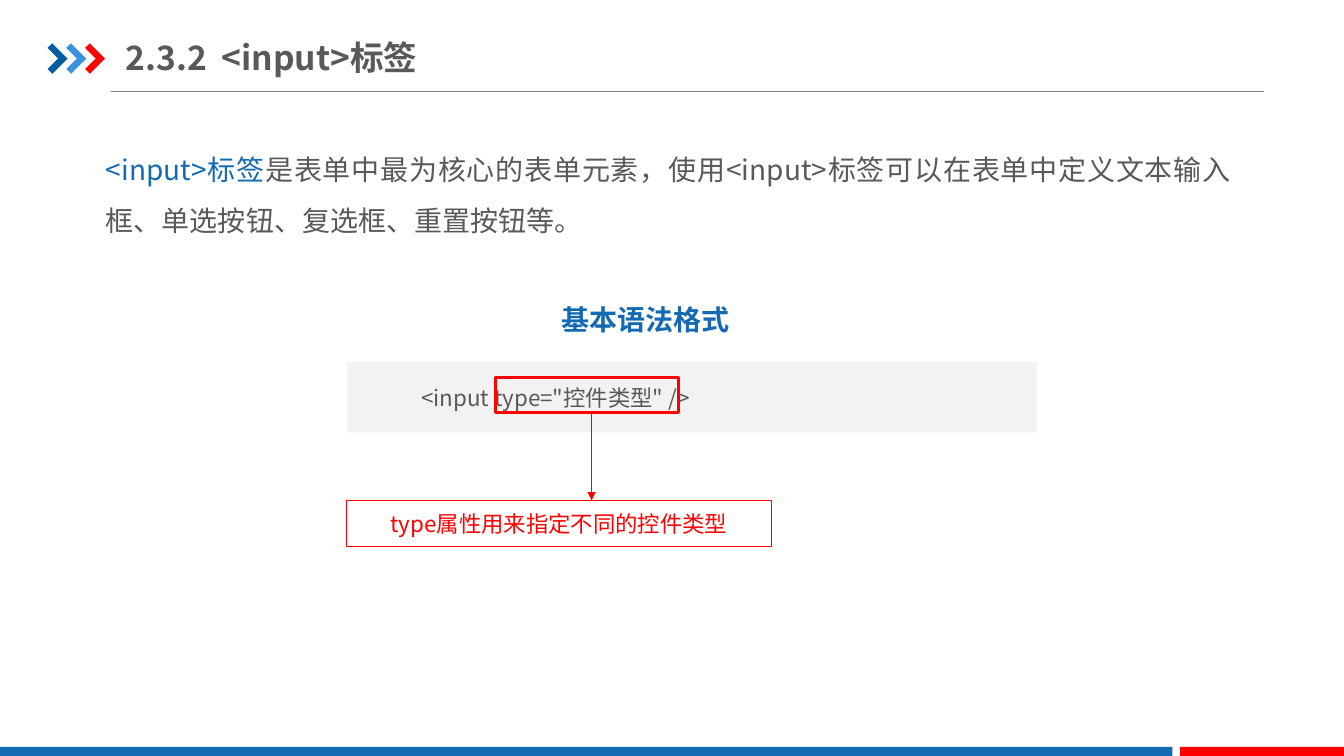
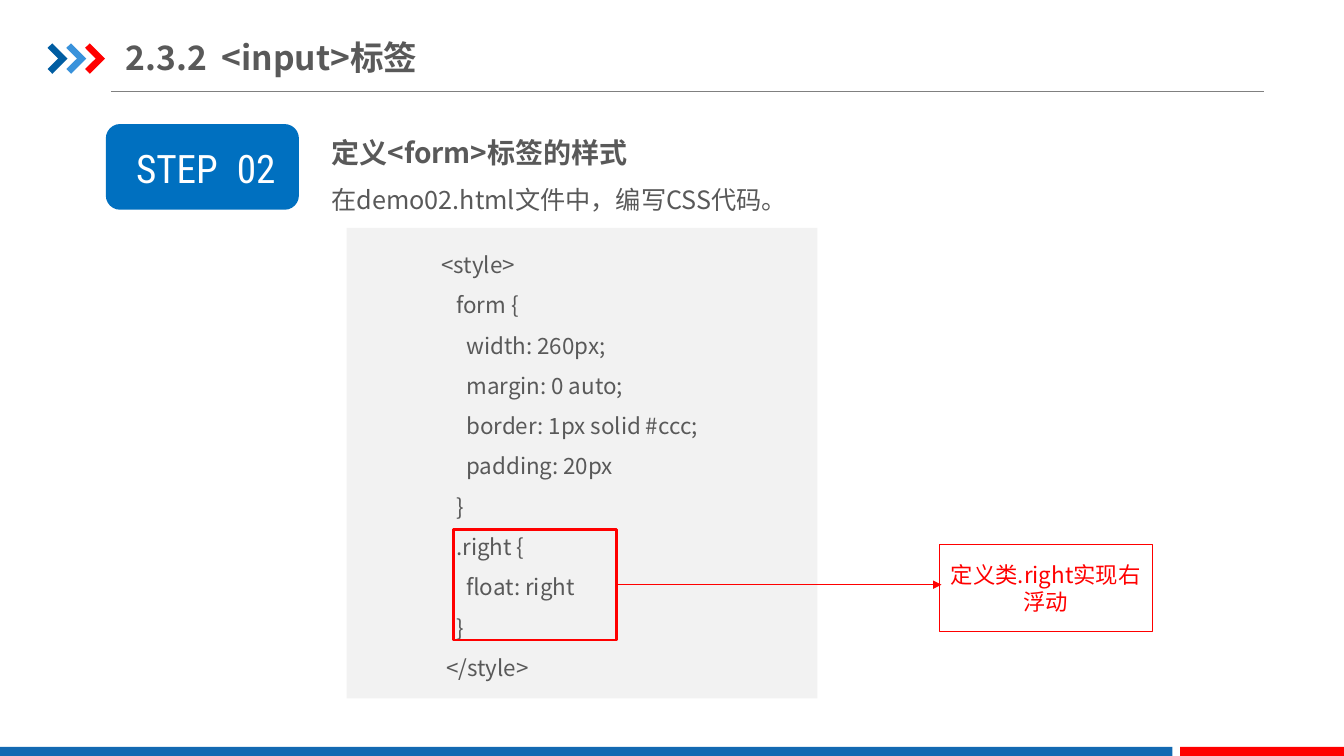
from lxml import etree
from pptx import Presentation
from pptx import util as u
from pptx.dml.color import RGBColor
from pptx.enum import shapes as sh, text as tx
from pptx.oxml import ns

Pt = u.Pt
BLUE = RGBColor(0x13, 0x69, 0xB2)
NAVY = RGBColor(0x00, 0x5D, 0xA2)
SKY = RGBColor(0x39, 0x92, 0xDB)
BADGE = RGBColor(0x00, 0x70, 0xC0)
RED = RGBColor(0xFF, 0x00, 0x00)
RULE = RGBColor(0x80, 0x80, 0x80)
INK = RGBColor(0x59, 0x59, 0x59)
PANEL = RGBColor(0xF2, 0xF2, 0xF2)
WHITE = RGBColor(0xFF, 0xFF, 0xFF)
SANS = "Noto Sans CJK SC"
SLIM = "Roboto Condensed"
LEFT, MID, FULL = tx.PP_ALIGN.LEFT, tx.PP_ALIGN.CENTER, tx.PP_ALIGN.JUSTIFY
RECT, ROUND = sh.MSO_SHAPE.RECTANGLE, sh.MSO_SHAPE.ROUNDED_RECTANGLE

# Content: a paragraph is a string or a list of (text, format) runs
TITLE = ["2.3.2\t<input>标签"]
INTRO = [[("<input>标签", {"color": BLUE}),
          ("是表单中最为核心的表单元素，使用<input>标签可以在表单中定义文本输入框、"
           "单选按钮、复选框、重置按钮等。", {})]]
HEAD = ["基本语法格式"]
SYNTAX = ['<input type="控件类型" />']
TYPE_NOTE = ["type属性用来指定不同的控件类型"]
STEP = ["STEP\t02"]
TASK = [[("定义<form>标签的样式", {"bold": True, "size": 20})],
        "在demo02.html文件中，编写CSS代码。"]
CODE = """ <style>
    form {
      width: 260px;
      margin: 0 auto;
      border: 1px solid #ccc;
      padding: 20px
    }
    .right {
      float: right
    }
  </style>""".split("\n")
FLOAT_NOTE = ["定义类.right实现右浮动"]

# Shared frame
CHEVRON = [(0, 3.2), (3.4, 0), (14.3, 10.9), (3.4, 21.7), (0, 18.3), (7.6, 10.9)]
ARROWS = [NAVY, SKY, RED]
BANDS = [(0, 837.4, BLUE), (843, 117, RED)]


def sub(node, tag, **attrs):
    return etree.SubElement(node, ns.qn(tag), attrs)


def style(run, size=16, color=INK, bold=False, face=SANS):
    font = run.font
    font.size, font.bold, font.name = Pt(size), bold, face
    font.color.rgb = color
    sub(font._element, "a:ea", typeface=face)


def write(shape, paras, align=LEFT, space=1.0, tab=None, indent=0,
          inset=(7.2, 3.6, 7.2, 3.6), middle=False, **form):
    frame = shape.text_frame
    frame.word_wrap = True
    (frame.margin_left, frame.margin_top,
     frame.margin_right, frame.margin_bottom) = map(Pt, inset)
    frame.vertical_anchor = tx.MSO_ANCHOR.MIDDLE if middle else tx.MSO_ANCHOR.TOP
    for i, runs in enumerate(paras):
        para = frame.add_paragraph() if i else frame.paragraphs[0]
        para.alignment, para.line_spacing = align, space
        props = para._p.get_or_add_pPr()
        if indent:
            props.set("indent", str(Pt(indent)))
        if tab:
            sub(sub(props, "a:tabLst"), "a:tab", pos=str(Pt(tab)), algn="l")
        for part, extra in [(runs, {})] if isinstance(runs, str) else runs:
            run = para.add_run()
            run.text = part
            style(run, **{**form, **extra})


def label(slide, box, paras, **form):
    write(slide.shapes.add_textbox(*map(Pt, box)), paras, **form)


def paint(shape, fill=None, line=None, width=0.75):
    shape.shadow.inherit = False
    if fill is None:
        shape.fill.background()
    else:
        shape.fill.solid()
        shape.fill.fore_color.rgb = fill
    if line is None:
        shape.line.fill.background()
    else:
        shape.line.color.rgb, shape.line.width = line, Pt(width)
    return shape


def block(slide, box, kind=RECT, **look):
    return paint(slide.shapes.add_shape(kind, *map(Pt, box)), **look)


def note(slide, box, paras):
    write(block(slide, box, line=RED), paras, align=MID, middle=True, color=RED)


def link(slide, start, end, color=RED, head=True, source=None, site=0):
    line = slide.shapes.add_connector(
        sh.MSO_CONNECTOR.STRAIGHT, *map(Pt, start + end))
    if source is not None:
        line.begin_connect(source, site)
    line.line.color.rgb, line.line.width = color, Pt(0.75)
    if head:
        sub(line.line._get_or_add_ln(), "a:tailEnd", type="triangle")
    sub(line._element.spPr, "a:effectLst")


def page(deck):
    slide = deck.slides.add_slide(deck.slide_layouts[6])
    # Title rule, chevrons and footer bands
    link(slide, (79.2, 65.5), (902.9, 65.5), color=RULE, head=False)
    for i, color in enumerate(ARROWS):
        first, *rest = [(Pt(34 + 13.4 * i + x), Pt(31 + y)) for x, y in CHEVRON]
        path = slide.shapes.build_freeform(*first, scale=1.0)
        path.add_line_segments(rest, close=True)
        paint(path.convert_to_shape(), fill=color)
    for x, width, color in BANDS:
        block(slide, (x, 533.5, width, 6.5), fill=color)
    label(slide, (90, 20.9, 306.7, 39.6), TITLE, tab=68.4, size=24, bold=True,
          inset=(0, 5, 0, 5), middle=True)
    return slide


def syntax(deck):
    slide = page(deck)
    label(slide, (66.2, 92.2, 822.2, 78.5), INTRO, align=FULL, space=1.5,
          size=20, inset=(9.4, 5, 9.4, 5))
    label(slide, (250.6, 200.2, 421.2, 39.6), HEAD, align=MID, space=1.5,
          size=20, color=BLUE, bold=True)
    # Code line with the marked attribute
    block(slide, (247.7, 258.5, 493.2, 50.4), fill=PANEL)
    label(slide, (275.8, 261.4, 455, 33.1), SYNTAX, space=1.5, indent=18)
    block(slide, (354.2, 269.6, 130.6, 25.2), line=RED, width=2)
    link(slide, (422.6, 294.8), (422.6, 357.5))
    note(slide, (247.7, 357.8, 303.1, 32.4), TYPE_NOTE)


def step(deck):
    slide = page(deck)
    # Step badge and task
    block(slide, (75.6, 88.6, 137.9, 61.2), kind=ROUND, fill=BADGE)
    label(slide, (82.8, 99.4, 128.2, 41), STEP, tab=72, size=28, color=WHITE,
          face=SLIM, inset=(14.4, 3.6, 0, 3.6))
    label(slide, (229.7, 81.4, 493.9, 72.7), TASK, space=1.5, size=18)
    # Code listing with the marked rule
    block(slide, (247.7, 162.7, 336.2, 336.2), fill=PANEL)
    label(slide, (304.6, 166.3, 217.4, 324), CODE, space=1.5)
    mark = block(slide, (324.2, 378, 116.2, 79.2), line=RED, width=2)
    link(slide, (440.4, 417.6), (672.5, 417.6), source=mark, site=3)
    note(slide, (671, 388.8, 152, 62.6), FLOAT_NOTE)


def main():
    deck = Presentation()
    deck.slide_width, deck.slide_height = Pt(960), Pt(540)
    syntax(deck)
    step(deck)
    deck.save("out.pptx")


if __name__ == "__main__":
    main()
